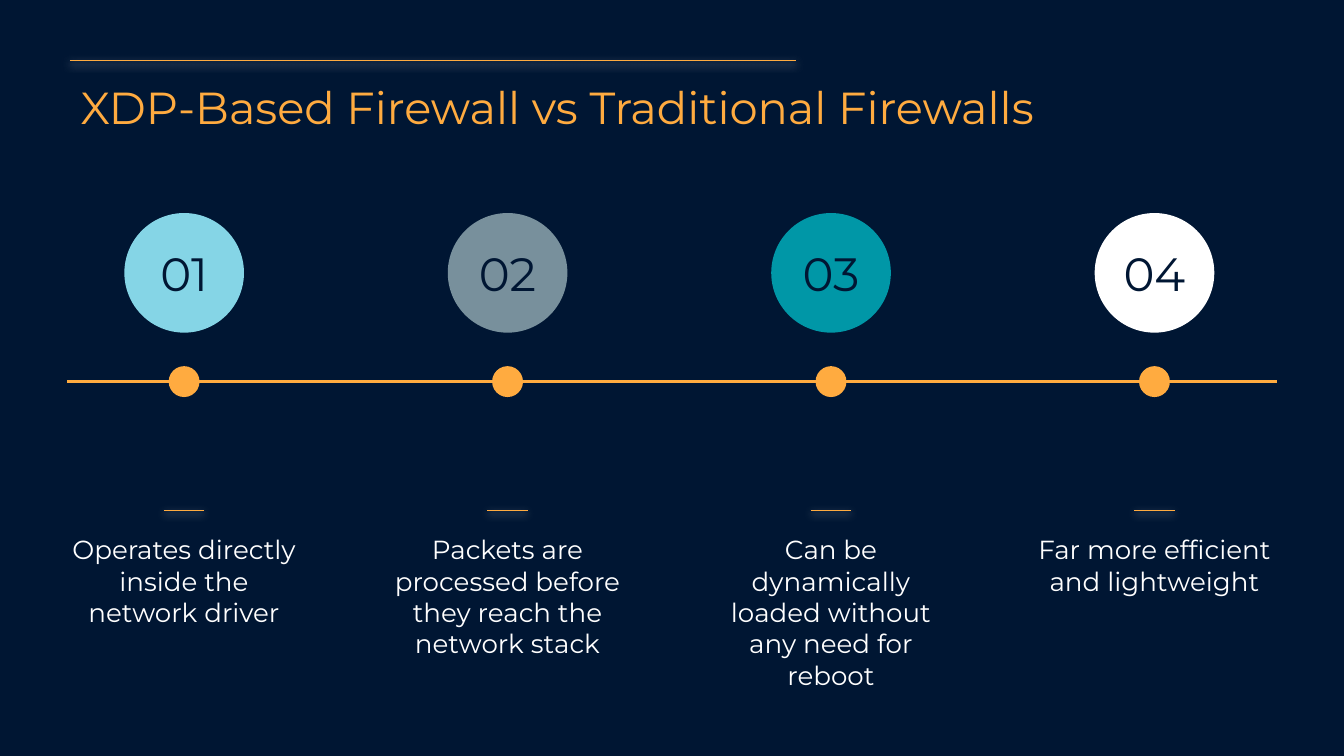
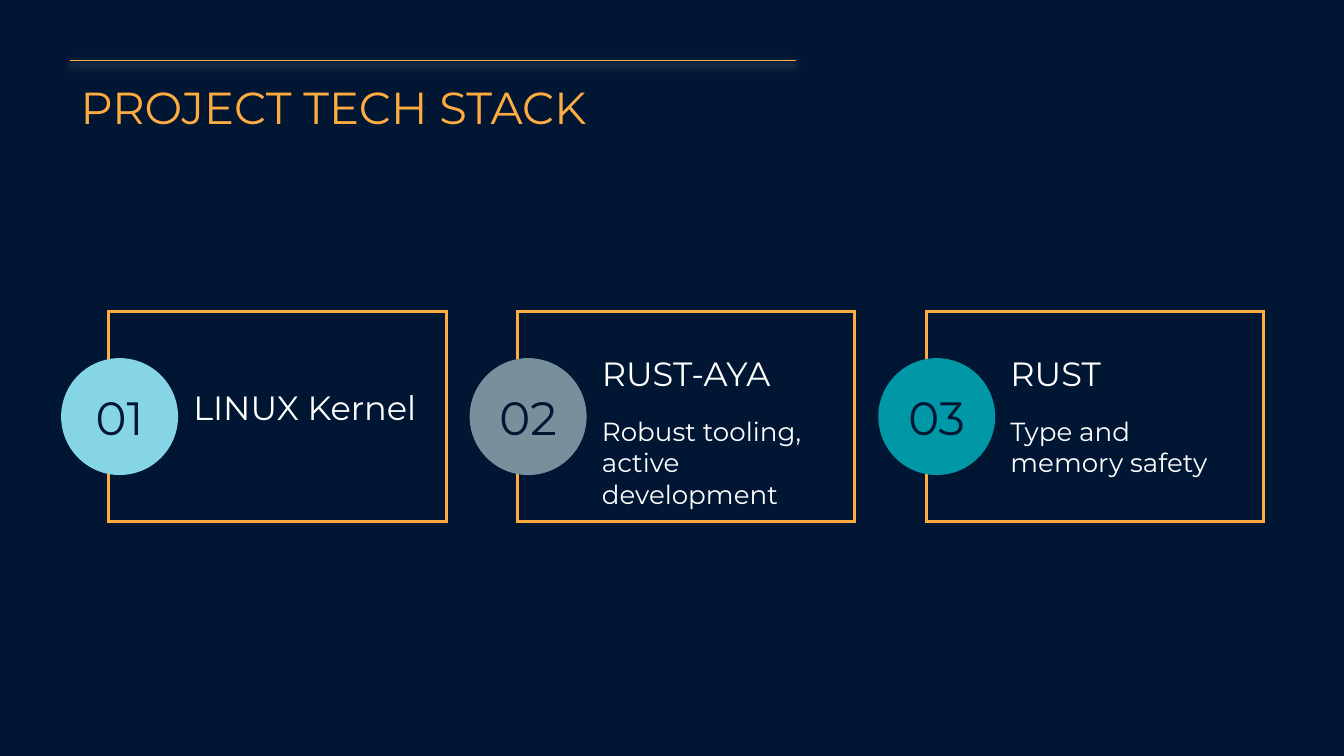
from lxml import etree
from pptx import Presentation
from pptx.dml.color import RGBColor
from pptx.enum.shapes import MSO_CONNECTOR, MSO_SHAPE
from pptx.enum.text import MSO_ANCHOR as Anchor, MSO_AUTO_SIZE, PP_ALIGN as Align
from pptx.oxml.ns import qn
from pptx.util import Inches, Pt

COLORS = {
    "navy": "001633",
    "orange": "FFAB40",
    "white": "FFFFFF",
    "sky": "85D5E6",
    "slate": "78909C",
    "teal": "0097A7",
}
FONT = "Montserrat"
BADGE_FILLS = ["sky", "slate", "teal", "white"]

ADVANTAGES = [
    "Operates directly inside the network driver",
    "Packets are processed before they reach the network stack",
    "Can be dynamically loaded without any need for reboot",
    "Far more efficient and lightweight",
]
TECHNOLOGIES = [
    ("LINUX Kernel", None),
    ("RUST-AYA", "Robust tooling, active development"),
    ("RUST", "Type and memory safety"),
]


def rgb(name):
    return RGBColor.from_string(COLORS[name])


def write(shape, text, size=14, color="white", align=Align.LEFT,
          anchor=Anchor.TOP, inset=0.1, wrap=True):
    frame = shape.text_frame
    frame.auto_size = MSO_AUTO_SIZE.NONE
    frame.word_wrap = wrap
    frame.vertical_anchor = anchor
    frame.margin_left = frame.margin_right = Inches(inset)
    frame.margin_top = frame.margin_bottom = Inches(inset)
    paragraph = frame.paragraphs[0]
    paragraph.alignment = align
    run = paragraph.add_run()
    run.text = text
    run.font.name = FONT
    run.font.size = Pt(size)
    run.font.color.rgb = rgb(color)


class Deck:
    def __init__(self):
        self.presentation = Presentation()
        self.presentation.slide_width = Inches(10)
        self.presentation.slide_height = Inches(10) * 9 // 16
        background = self.presentation.slide_master.background.fill
        background.solid()
        background.fore_color.rgb = rgb("navy")
        self.slide = None

    def add_slide(self, title):
        layout = self.presentation.slide_layouts.get_by_name("Title Only")
        self.slide = self.presentation.slides.add_slide(layout)
        self.line(0.52, 5.92, 0.45, glow=True)
        shape = self.slide.shapes.title
        shape.left, shape.top = Inches(0.5), Inches(0.49)
        shape.width, shape.height = Inches(8.75), Inches(0.52)
        write(shape, title, size=24, color="orange")

    def line(self, start, end, y, width=0.75, glow=False):
        """Draw a horizontal line, optionally with a soft white shadow."""
        connector = self.slide.shapes.add_connector(
            MSO_CONNECTOR.STRAIGHT, Inches(start), Inches(y), Inches(end), Inches(y))
        connector.line.color.rgb = rgb("orange")
        connector.line.width = Pt(width)
        properties = connector._element.spPr
        effects = etree.SubElement(properties, qn("a:effectLst"))
        if glow:
            shadow = etree.SubElement(
                effects, qn("a:outerShdw"), blurRad=str(Pt(4.5)), dist=str(Pt(1.5)),
                dir="5400000", algn="bl", rotWithShape="0")
            color = etree.SubElement(shadow, qn("a:srgbClr"), val=COLORS["white"])
            etree.SubElement(color, qn("a:alpha"), val="50000")

    def circle(self, center_x, center_y, diameter, fill):
        shape = self.slide.shapes.add_shape(
            MSO_SHAPE.OVAL, Inches(center_x - diameter / 2),
            Inches(center_y - diameter / 2), Inches(diameter), Inches(diameter))
        shape.shadow.inherit = False
        shape.fill.solid()
        shape.fill.fore_color.rgb = rgb(fill)
        shape.line.fill.background()
        return shape

    def badge(self, index, center_x, center_y, diameter):
        """Draw a numbered circle."""
        shape = self.circle(center_x, center_y, diameter, BADGE_FILLS[index])
        write(shape, f"{index + 1:02}", size=25, color="navy", align=Align.CENTER,
              anchor=Anchor.MIDDLE, inset=0, wrap=False)

    def frame(self, left, top, width, height):
        """Draw an outlined rectangle with sharp corners."""
        shape = self.slide.shapes.add_shape(
            MSO_SHAPE.RECTANGLE, Inches(left), Inches(top), Inches(width), Inches(height))
        shape.shadow.inherit = False
        shape.fill.background()
        shape.line.color.rgb = rgb("orange")
        shape.line.width = Pt(1.6)
        outline = shape._element.spPr.find(qn("a:ln"))
        etree.SubElement(outline, qn("a:miter"), lim="800000")

    def text(self, left, top, width, height, text, **style):
        box = self.slide.shapes.add_textbox(
            Inches(left), Inches(top), Inches(width), Inches(height))
        write(box, text, **style)


def build_comparison(deck):
    deck.add_slide("XDP-Based Firewall vs Traditional Firewalls")
    deck.line(0.5, 9.5, 2.84, width=1.6)
    first, last = 1.37, 8.59
    step = (last - first) / (len(ADVANTAGES) - 1)
    for index, advantage in enumerate(ADVANTAGES):
        center = first + index * step
        deck.badge(index, center, 2.03, 0.89)
        deck.circle(center, 2.84, 0.23, "orange")
        deck.line(center - 0.15, center + 0.15, 3.8, glow=True)
        deck.text(center - 1, 3.87, 2, 0.83, advantage, align=Align.CENTER)


def build_tech_stack(deck):
    deck.add_slide("PROJECT TECH STACK")
    for index, (name, benefit) in enumerate(TECHNOLOGIES):
        left = 0.81 + index * 3.04
        text_left = left + 0.53
        deck.frame(left, 2.32, 2.51, 1.56)
        deck.badge(index, left + 0.08, 3.1, 0.87)
        name_top = 2.43 if benefit else 2.68
        deck.text(text_left, name_top, 1.97, 0.6, name, size=18, anchor=Anchor.BOTTOM)
        if benefit:
            deck.text(text_left, 2.99, 1.85, 0.7, benefit)


def main():
    deck = Deck()
    build_comparison(deck)
    build_tech_stack(deck)
    deck.presentation.save("out.pptx")


if __name__ == "__main__":
    main()
